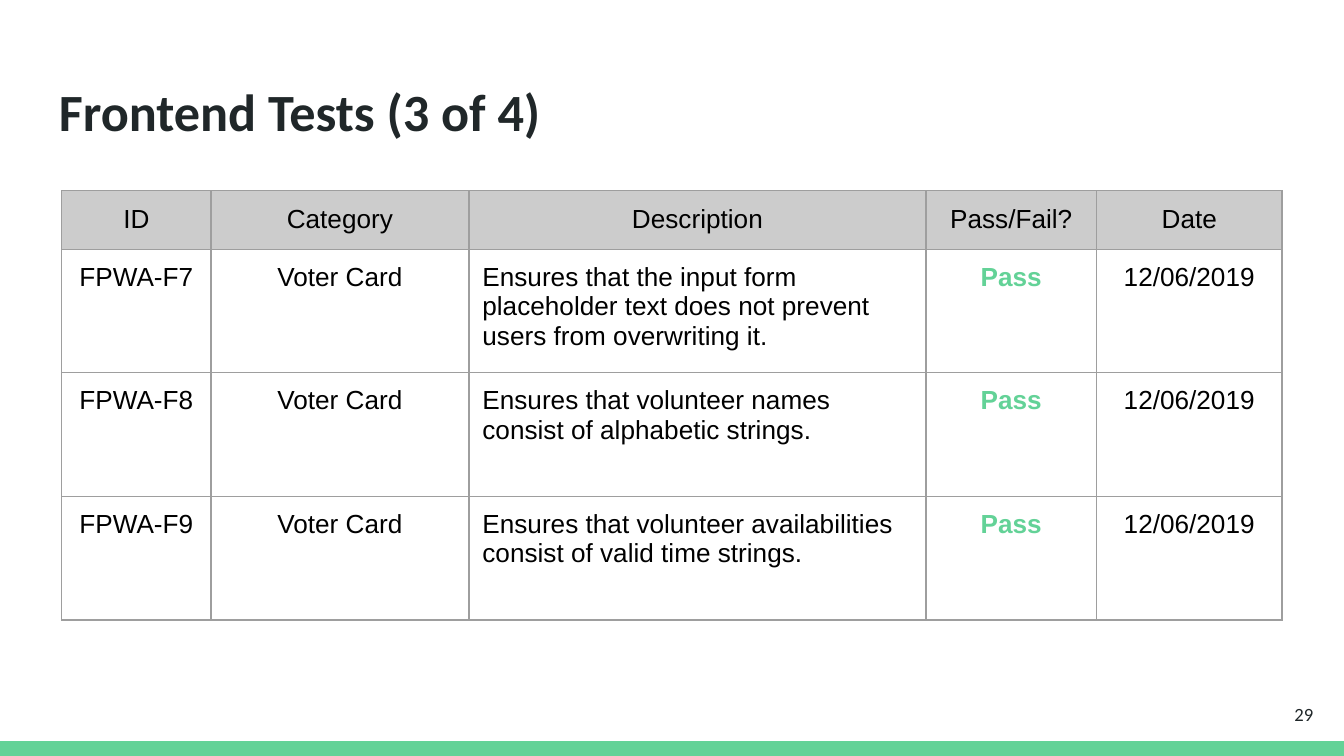
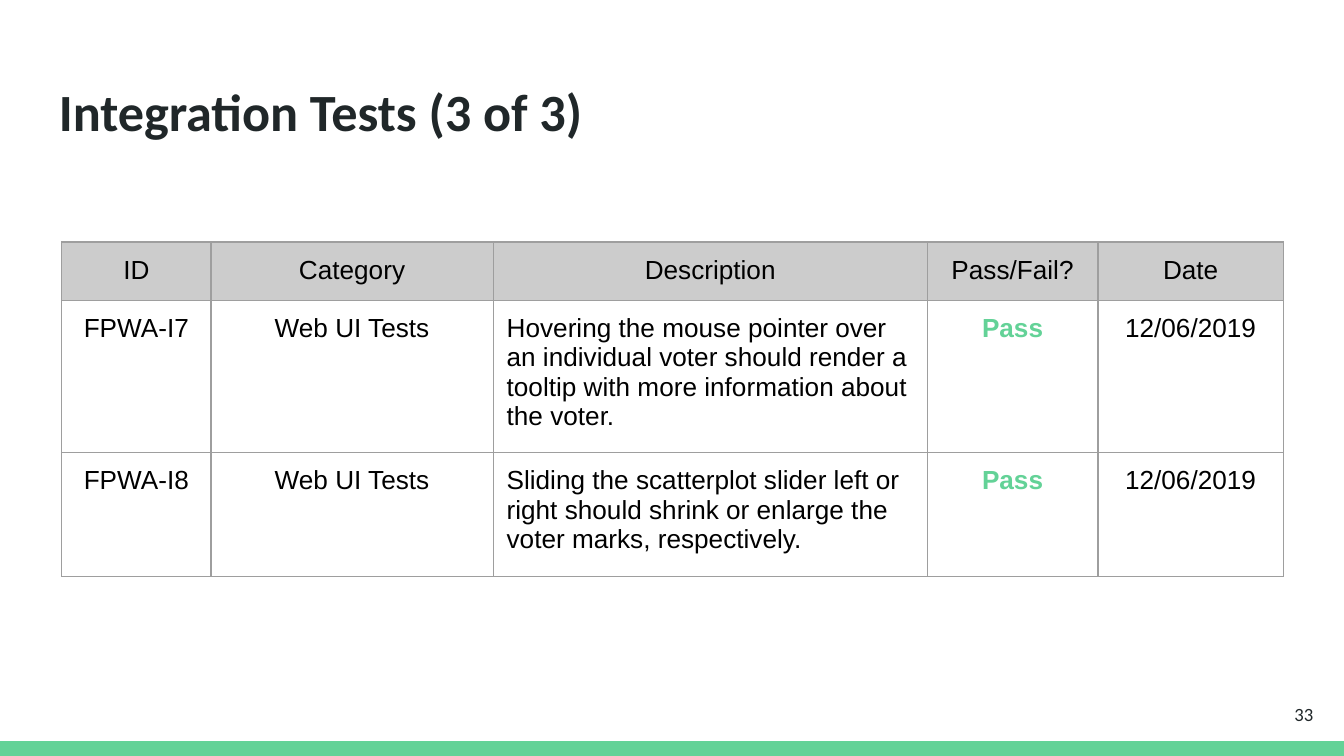
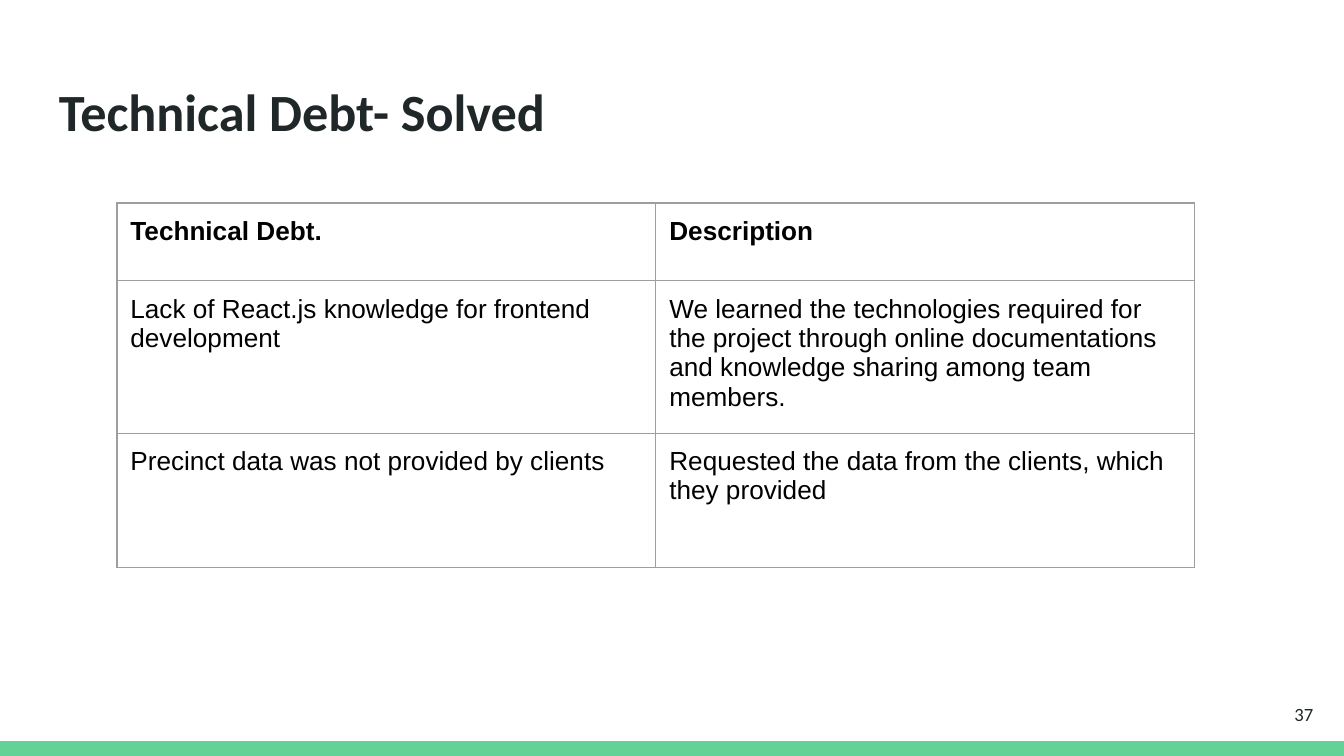
from dataclasses import dataclass

import pptx
import pptx.dml.color
import pptx.enum.shapes
import pptx.enum.text
import pptx.oxml
import pptx.oxml.ns
import pptx.presentation
import pptx.slide
import pptx.table
import pptx.text.text
import pptx.util
from pptx.util import Inches

ALIGN = pptx.enum.text.PP_ALIGN
ANCHOR = pptx.enum.text.MSO_ANCHOR


@dataclass(frozen=True)
class Theme:
    background: str = "FFFFFF"
    green: str = "63D297"
    heading: str = "202729"
    body: str = "000000"
    header_fill: str = "CCCCCC"
    border: str = "9E9E9E"
    border_pt: float = 0.75
    heading_font: str = "Calibri"
    body_font: str = "Arial"
    title_size: int = 28
    table_size: int = 14
    number_size: int = 10


THEME = Theme()
SLIDE_WIDTH = Inches(10)
SLIDE_HEIGHT = SLIDE_WIDTH * 9 // 16
BAND_HEIGHT = Inches(0.11)
INSET = Inches(0.1)
TABLE_FRAME = Inches(3.28)


@dataclass(frozen=True)
class Column:
    heading: str
    width: float
    align: ALIGN = ALIGN.CENTER
    color: str = THEME.body
    bold: bool = False


@dataclass(frozen=True)
class TableSlide:
    title: str
    number: int
    left: float
    top: float
    columns: list[Column]
    rows: list[tuple[str, ...]]
    header_height: float
    row_height: float
    header_align: ALIGN = ALIGN.CENTER
    header_bold: bool = False
    header_fill: str | None = THEME.header_fill


def rgb(color: str) -> pptx.dml.color.RGBColor:
    return pptx.dml.color.RGBColor.from_string(color)


def set_insets(holder: pptx.text.text.TextFrame | pptx.table._Cell) -> None:
    holder.margin_left = holder.margin_right = INSET
    holder.margin_top = holder.margin_bottom = INSET


def write(frame: pptx.text.text.TextFrame, text: str, *, size: int,
          font: str, color: str, bold: bool = False,
          align: ALIGN = ALIGN.LEFT) -> None:
    paragraph = frame.paragraphs[0]
    paragraph.alignment = align
    run = paragraph.add_run()
    run.text = text
    run.font.size = pptx.util.Pt(size)
    run.font.name = font
    run.font.bold = bold
    run.font.color.rgb = rgb(color)
    # The paragraph mark counts towards the height of a table row.
    paragraph._p.get_or_add_endParaRPr().set("sz", str(size * 100))


def add_text_frame(slide: pptx.slide.Slide, left: float, top: float,
                   width: float, height: float,
                   anchor: ANCHOR = ANCHOR.TOP) -> pptx.text.text.TextFrame:
    frame = slide.shapes.add_textbox(Inches(left), Inches(top), Inches(width),
                                     Inches(height)).text_frame
    frame.word_wrap = True
    frame.vertical_anchor = anchor
    set_insets(frame)
    return frame


def add_base(deck: pptx.presentation.Presentation, title: str,
             number: int) -> pptx.slide.Slide:
    """Add a slide with the green band, title and slide number."""
    slide = deck.slides.add_slide(deck.slide_layouts[6])
    slide.background.fill.solid()
    slide.background.fill.fore_color.rgb = rgb(THEME.background)

    band = slide.shapes.add_shape(
        pptx.enum.shapes.MSO_SHAPE.RECTANGLE,
        0, SLIDE_HEIGHT - BAND_HEIGHT, SLIDE_WIDTH, BAND_HEIGHT)
    band.shadow.inherit = False
    band.fill.solid()
    band.fill.fore_color.rgb = rgb(THEME.green)
    band.line.fill.background()

    write(add_text_frame(slide, 0.34, 0.49, 9.32, 0.63), title,
          size=THEME.title_size, font=THEME.heading_font,
          color=THEME.heading, bold=True)
    write(add_text_frame(slide, 9.27, 5.1, 0.6, 0.43, ANCHOR.MIDDLE),
          str(number), size=THEME.number_size, font=THEME.heading_font,
          color=THEME.heading, align=ALIGN.RIGHT)
    return slide


def style_cell(cell: pptx.table._Cell, fill: str | None) -> None:
    set_insets(cell)
    properties = cell._tc.get_or_add_tcPr()
    for side in ("lnL", "lnR", "lnT", "lnB"):
        properties.append(pptx.oxml.parse_xml(
            f'<a:{side} {pptx.oxml.ns.nsdecls("a")} '
            f'w="{pptx.util.Pt(THEME.border_pt)}"><a:solidFill>'
            f'<a:srgbClr val="{THEME.border}"/></a:solidFill></a:{side}>'))
    if fill:
        cell.fill.solid()
        cell.fill.fore_color.rgb = rgb(fill)
    else:
        cell.fill.background()


def add_table(slide: pptx.slide.Slide, content: TableSlide) -> None:
    heights = [content.header_height] + [content.row_height] * len(content.rows)
    holder = slide.shapes.add_table(
        len(heights), len(content.columns), Inches(content.left),
        Inches(content.top), TABLE_FRAME, TABLE_FRAME)
    table = holder.table
    table.first_row = table.horz_banding = False
    for row, height in zip(table.rows, heights):
        row.height = Inches(height)

    for index, column in enumerate(content.columns):
        table.columns[index].width = Inches(column.width)
        header = table.cell(0, index)
        style_cell(header, content.header_fill)
        write(header.text_frame, column.heading, size=THEME.table_size,
              font=THEME.body_font, color=THEME.body,
              bold=content.header_bold, align=content.header_align)
        for row_index, values in enumerate(content.rows, start=1):
            cell = table.cell(row_index, index)
            style_cell(cell, None)
            write(cell.text_frame, values[index], size=THEME.table_size,
                  font=THEME.body_font, color=column.color,
                  bold=column.bold, align=column.align)
    # Row and column sizes reset the frame, so it is fixed last.
    holder.width = holder.height = TABLE_FRAME


def test_columns(category: float, description: float) -> list[Column]:
    return [
        Column("ID", 1.11),
        Column("Category", category),
        Column("Description", description, ALIGN.LEFT),
        Column("Pass/Fail?", 1.27, color=THEME.green, bold=True),
        Column("Date", 1.38),
    ]


def passed_tests(category: str, prefix: str, first: int,
                 descriptions: list[str]) -> list[tuple[str, ...]]:
    return [(f"{prefix}{number}", category, description, "Pass", "12/06/2019")
            for number, description in enumerate(descriptions, start=first)]


SLIDES = [
    TableSlide(
        "Frontend Tests (3 of 4)", 29, 0.46, 1.42, test_columns(1.92, 3.4),
        passed_tests("Voter Card", "FPWA-F", 7, [
            "Ensures that the input form placeholder text does not prevent "
            "users from overwriting it.",
            "Ensures that volunteer names consist of alphabetic strings.",
            "Ensures that volunteer availabilities consist of valid time "
            "strings.",
        ]),
        header_height=0.43, row_height=0.92),
    TableSlide(
        "Integration Tests (3 of 3)", 33, 0.46, 1.8, test_columns(2.1, 3.23),
        passed_tests("Web UI Tests", "FPWA-I", 7, [
            "Hovering the mouse pointer over an individual voter should "
            "render a tooltip with more information about the voter.",
            "Sliding the scatterplot slider left or right should shrink or "
            "enlarge the voter marks, respectively.",
        ]),
        header_height=0.43, row_height=0.92),
    TableSlide(
        "Technical Debt- Solved", 37, 0.87, 1.51,
        [Column("Technical Debt.", 4.01, ALIGN.LEFT),
         Column("Description", 4.01, ALIGN.LEFT)],
        [("Lack of React.js knowledge for frontend development",
          "We learned the technologies required for the project through "
          "online documentations and knowledge sharing among team members."),
         ("Precinct data was not provided by clients",
          "Requested the data from the clients, which they provided")],
        header_height=0.58, row_height=1, header_align=ALIGN.LEFT,
        header_bold=True, header_fill=None),
]


def main() -> None:
    deck = pptx.Presentation()
    deck.slide_width, deck.slide_height = SLIDE_WIDTH, SLIDE_HEIGHT
    for content in SLIDES:
        add_table(add_base(deck, content.title, content.number), content)
    deck.save("out.pptx")


if __name__ == "__main__":
    main()
